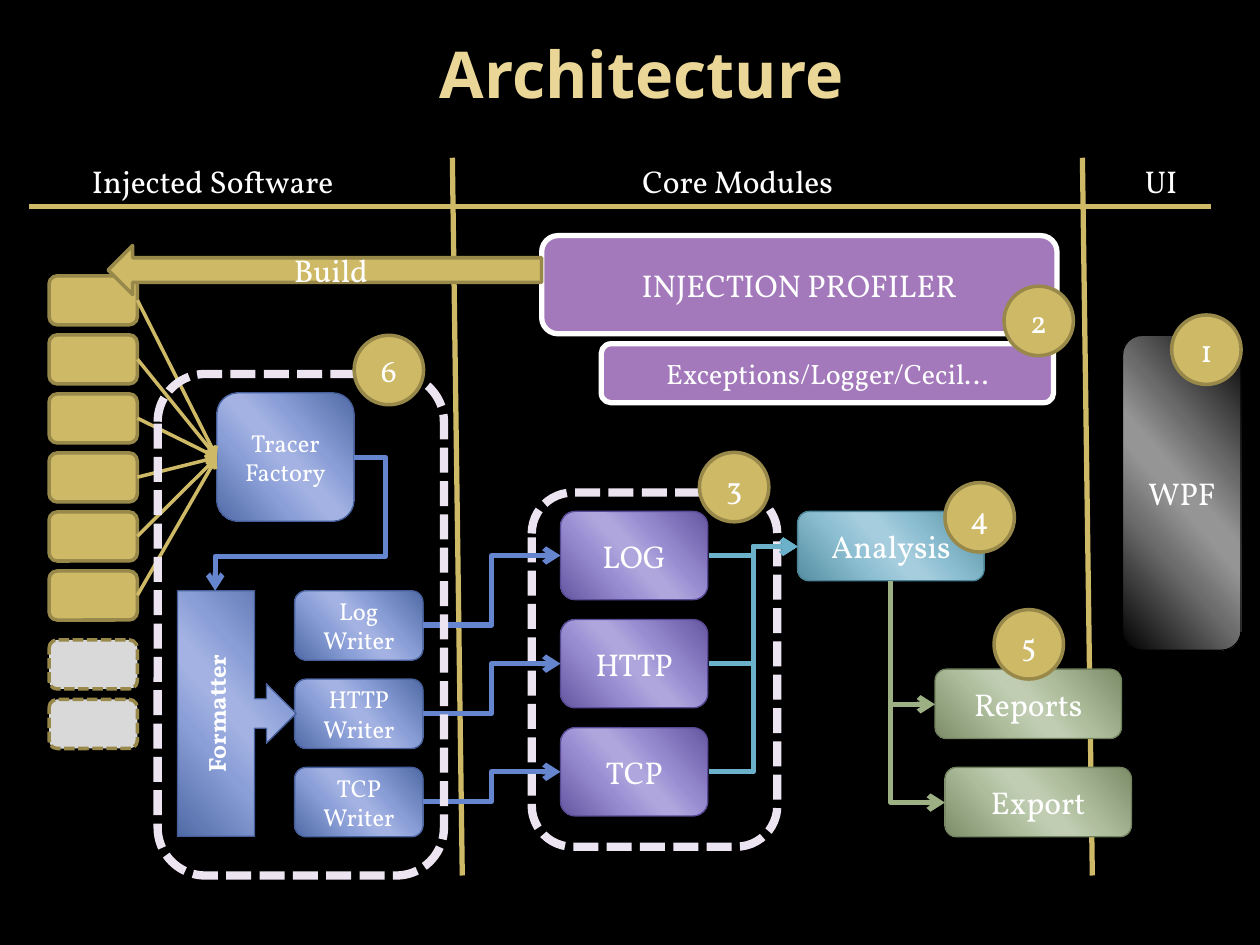
from lxml import etree
from pptx import Presentation
from pptx.dml.color import RGBColor
from pptx.enum.dml import MSO_LINE
from pptx.enum.shapes import MSO_CONNECTOR, MSO_SHAPE
from pptx.enum.text import MSO_ANCHOR, PP_ALIGN
from pptx.oxml.ns import qn
from pptx.util import Cm, Pt

GOLD, GOLD_EDGE, WHITE = "CEB966", "98894B", "FFFFFF"
PURPLE, PALE, GREY = "A379BB", "EDE4F1", "D9D9D9"
BLUE_LINK, TEAL_LINK, GREEN_LINK = "6585CF", "6BB1C9", "9CB084"

# Glossy fills: dark, mid, light, mid and edge colours
BLUE = ("516BA6", "899DD6", "A3B2E2", "8A9ED7", "465F9A")
VIOLET = ("6556A1", "988CD1", "AFA6DD", "998DD2", "5A4A96")
GREEN = ("7D8D6A", "AEBD9C", "C0CDB2", "AEBE9D", "72825E")
TEAL = ("568EA1", "8CBED1", "A6CDDD", "8DBFD2", "4A8296")
BLACK = ("000000", "6B6B6B", "959595", "6C6C6C", "000000")

ROUND, OVAL = MSO_SHAPE.ROUNDED_RECTANGLE, MSO_SHAPE.OVAL
color = RGBColor.from_string

prs = Presentation()
prs.slide_width, prs.slide_height = Cm(25.4), Cm(19.05)
s = prs.slides.add_slide(prs.slide_layouts[6])
s.background.fill.solid()
s.background.fill.fore_color.rgb = color("000000")


def box(kind, x, y, w, h, text="", fill=None, edge=None, width=2, dash=False,
        anchor=MSO_ANCHOR.MIDDLE, ink=WHITE, **font):
    """Add a shape, or a text box when kind is None."""
    at = Cm(x), Cm(y), Cm(w), Cm(h)
    if kind is None:
        sp = s.shapes.add_textbox(*at)
    else:
        sp = s.shapes.add_shape(kind, *at)
        sp.shadow.inherit = False
        if isinstance(fill, tuple):
            dark, mid, light, mid2, edge = fill
            width = 0.75
            sp.fill.gradient()
            sp.fill.gradient_angle = 221
            stops = sp._element.spPr.find(".//" + qn("a:gsLst"))
            for gs in list(stops):
                stops.remove(gs)
            for pos, rgb in zip((0, 33, 47, 53, 68, 100),
                                (dark, mid, light, light, mid2, dark)):
                gs = etree.SubElement(stops, qn("a:gs"), pos=str(pos * 1000))
                etree.SubElement(gs, qn("a:srgbClr"), val=rgb)
        elif fill:
            sp.fill.solid()
            sp.fill.fore_color.rgb = color(fill)
        else:
            sp.fill.background()
        sp.line.color.rgb = color(edge)
        sp.line.width = Pt(width)
        if dash:
            sp.line.dash_style = MSO_LINE.SQUARE_DOT
    if text:
        tf = sp.text_frame
        tf.word_wrap = True
        tf.vertical_anchor = anchor
        tf.text = text
        fmt = {"name": "Vollkorn", "size": Pt(18), "bold": False, **font}
        for p in tf.paragraphs:
            p.alignment = PP_ALIGN.CENTER
            for r in p.runs:
                r.font.color.rgb = color(ink)
                for key, value in fmt.items():
                    setattr(r.font, key, value)
    return sp


def link(x1, y1, x2, y2, rgb, width=3, arrow=None, geom=None, adj=()):
    """Add a straight line, or an elbow when geom names one."""
    kind = MSO_CONNECTOR.ELBOW if geom else MSO_CONNECTOR.STRAIGHT
    cx = s.shapes.add_connector(kind, Cm(x1), Cm(y1), Cm(x2), Cm(y2))
    cx.line.color.rgb = color(rgb)
    cx.line.width = Pt(width)
    spPr = cx._element.spPr
    if arrow:
        etree.SubElement(spPr.find(qn("a:ln")), qn("a:" + arrow), type="arrow")
    etree.SubElement(spPr, qn("a:effectLst"))
    if geom:
        shape = spPr.find(qn("a:prstGeom"))
        shape.set("prst", geom)
        for i, value in enumerate(adj, 1):
            etree.SubElement(shape.find(qn("a:avLst")), qn("a:gd"),
                             name=f"adj{i}", fmla=f"val {value}")


# Frame of the core readers, title and column grid
box(ROUND, 10.72, 9.93, 4.95, 7.14, edge=PALE, width=4.75, dash=True)
box(None, 1.27, 0.56, 23.34, 1.83, "Architecture", ink="EAD696",
    name="Open Sans", size=Pt(36.9), bold=True)
for x in (9.12, 21.82):
    link(x, 3.18, x + 0.2, 17.65, GOLD)
for x, w, text in ((1.57, 5.44, "Injected Software"),
                   (11.1, 7.54, "Core Modules"), (22.02, 2.77, "UI")):
    box(None, x, 3.15, w, 1.02, text, anchor=MSO_ANCHOR.TOP)

# Injected classes feeding the tracer factory
for i in range(6):
    box(ROUND, 0.99, 5.56 + 1.19 * i, 1.78, 0.99, fill=GOLD, edge=GOLD_EDGE)
box(ROUND, 4.37, 7.92, 2.77, 2.59, "Tracer Factory", BLUE, size=Pt(14))
for y in (12.9, 14.1):
    box(ROUND, 0.99, y, 1.78, 0.99, fill=GREY, edge=GOLD_EDGE, dash=True)
for i in range(6):
    link(2.77, 6.05 + 1.19 * i, 4.37, 9.22, GOLD, 2, "tailEnd")

# Core modules
for i, text in enumerate(("LOG", "HTTP", "TCP")):
    box(ROUND, 11.3, 10.31 + 2.18 * i, 2.97, 1.78, text, VIOLET)
box(ROUND, 10.92, 4.75, 10.39, 1.98, "INJECTION PROFILER", PURPLE, WHITE, 3)
box(MSO_SHAPE.LEFT_ARROW, 2.18, 4.95, 8.74, 0.99, "Build", GOLD, GOLD_EDGE)
box(ROUND, 19.05, 15.47, 3.76, 1.4, "Export", GREEN)
box(ROUND, 18.85, 13.49, 3.76, 1.4, "Reports", GREEN)
box(ROUND, 16.08, 10.31, 3.76, 1.4, "Analysis", TEAL)
box(ROUND, 22.63, 6.76, 2.39, 6.35, "WPF", BLACK)
for i in range(3):
    link(14.3, 11.2 + 2.18 * i, 16.08, 11.02, TEAL_LINK, 3, "tailEnd",
         "bentConnector3")
for x, y in ((18.85, 14.2), (19.05, 16.18)):
    link(x, y, 17.96, 11.71, GREEN_LINK, 3, "headEnd", "bentConnector2")
box(ROUND, 12.12, 6.93, 9.12, 1.19, "Exceptions/Logger/Cecil…", PURPLE, WHITE,
    3, size=Pt(16))
link(0.58, 4.17, 24.41, 4.17, GOLD)

# Writers, each linked to its core reader
for i, text in enumerate(("Log\nWriter", "HTTP Writer", "TCP Writer")):
    box(ROUND, 5.94, 11.91 + 1.78 * i, 2.59, 1.4, text, BLUE, size=Pt(14))
    link(8.53, 12.6 + 1.78 * i, 11.3, 11.2 + 2.18 * i, BLUE_LINK, 3,
         "tailEnd", "bentConnector3")

# Formatter and the frame of the tracing part
link(7.14, 9.22, 4.34, 11.91, BLUE_LINK, 3, "tailEnd", "bentConnector4",
     (-22700, 74100))
sp = box(MSO_SHAPE.RIGHT_ARROW_CALLOUT, 3.58, 11.91, 2.39, 4.95, "Formatter",
         BLUE, size=Pt(14), bold=True)
sp.text_frame._txBody.bodyPr.set("vert", "vert270")
box(ROUND, 3.18, 7.54, 5.77, 10.11, edge=PALE, width=4.75, dash=True)

# Numbered badges
badges = ((23.62, 6.35), (20.24, 5.77), (14.1, 9.12),
          (19.05, 9.73), (20.04, 12.29), (7.14, 6.76))
for n, (x, y) in enumerate(badges, 1):
    box(OVAL, x, y, 1.4, 1.4, str(n), GOLD, GOLD_EDGE)

prs.save("out.pptx")
